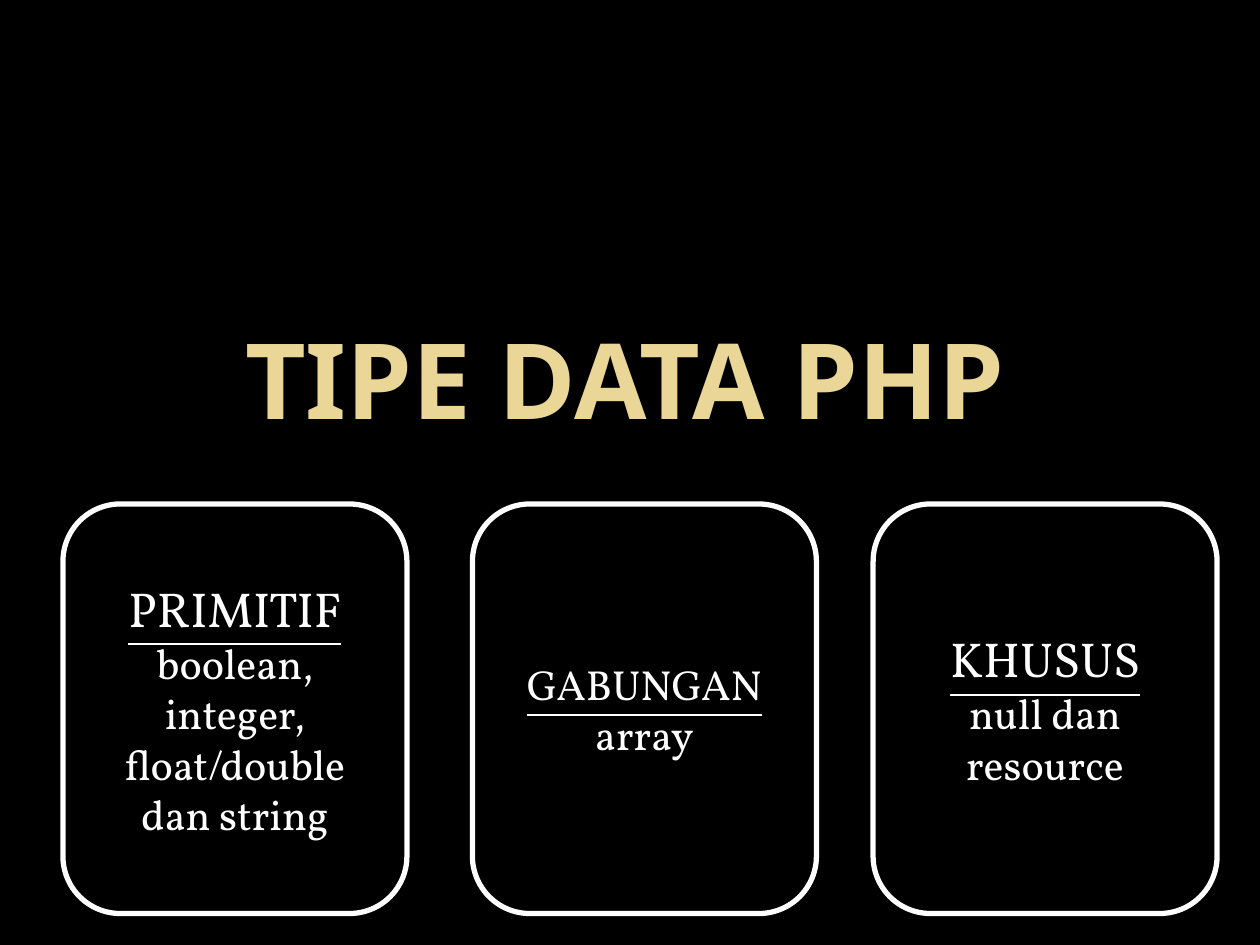
import pptx
import pptx.util
import pptx.dml.color
import pptx.enum.shapes
import pptx.enum.text
from pptx.util import Inches

COLORS = {"background": "000000", "title": "EAD696", "card": "000000", "light": "FFFFFF"}
TITLE_FONT = "Noto Sans"
BODY_FONT = "Vollkorn"
CARDS = [
    (0.5, "PRIMITIF", 28, "boolean, integer, float/double dan string"),
    (3.75, "GABUNGAN", 24, "array"),
    (6.93, "KHUSUS", 28, "null dan resource"),
]


def rgb(name):
    """Return the named colour of the palette."""
    return pptx.dml.color.RGBColor.from_string(COLORS[name])


def style_paragraph(paragraph, font_name, size, color, bold=False, underline=False):
    """Centre a paragraph and set its font."""
    paragraph.alignment = pptx.enum.text.PP_ALIGN.CENTER
    font = paragraph.font
    font.name = font_name
    font.size = pptx.util.Pt(size)
    font.bold = bold
    font.underline = underline
    font.color.rgb = rgb(color)


def set_title(slide, wording):
    """Place and format the title placeholder."""
    title = slide.shapes.title
    title.left, title.top = Inches(0.46), Inches(1.5)
    title.width, title.height = Inches(9), Inches(2)
    frame = title.text_frame
    frame.text = wording
    frame.word_wrap = True
    frame.auto_size = pptx.enum.text.MSO_AUTO_SIZE.NONE
    frame.vertical_anchor = pptx.enum.text.MSO_ANCHOR.BOTTOM
    frame.margin_left = frame.margin_right = Inches(0.05)
    frame.margin_top = frame.margin_bottom = 0
    style_paragraph(frame.paragraphs[0], TITLE_FONT, 60, "title", bold=True)


def add_card(slide, left, heading, heading_size, types):
    """Add a rounded card with an underlined heading over its data types."""
    card = slide.shapes.add_shape(
        pptx.enum.shapes.MSO_SHAPE.ROUNDED_RECTANGLE,
        Inches(left), Inches(4), Inches(2.73), Inches(3.25))
    card.shadow.inherit = False
    card.fill.solid()
    card.fill.fore_color.rgb = rgb("card")
    card.line.color.rgb = rgb("light")
    card.line.width = pptx.util.Pt(3)
    frame = card.text_frame
    frame.word_wrap = True
    frame.vertical_anchor = pptx.enum.text.MSO_ANCHOR.MIDDLE
    frame.text = f"{heading}\n{types}"
    heading_line, types_line = frame.paragraphs
    style_paragraph(heading_line, BODY_FONT, heading_size, "light", underline=True)
    style_paragraph(types_line, BODY_FONT, 24, "light")


def main():
    """Build the slide on PHP data types."""
    deck = pptx.Presentation()
    deck.slide_width, deck.slide_height = Inches(10), Inches(7.5)
    slide = deck.slides.add_slide(deck.slide_layouts.get_by_name("Title Only"))
    slide.background.fill.solid()
    slide.background.fill.fore_color.rgb = rgb("background")
    set_title(slide, "TIPE DATA PHP")
    for card in CARDS:
        add_card(slide, *card)
    deck.save("out.pptx")


if __name__ == "__main__":
    main()
